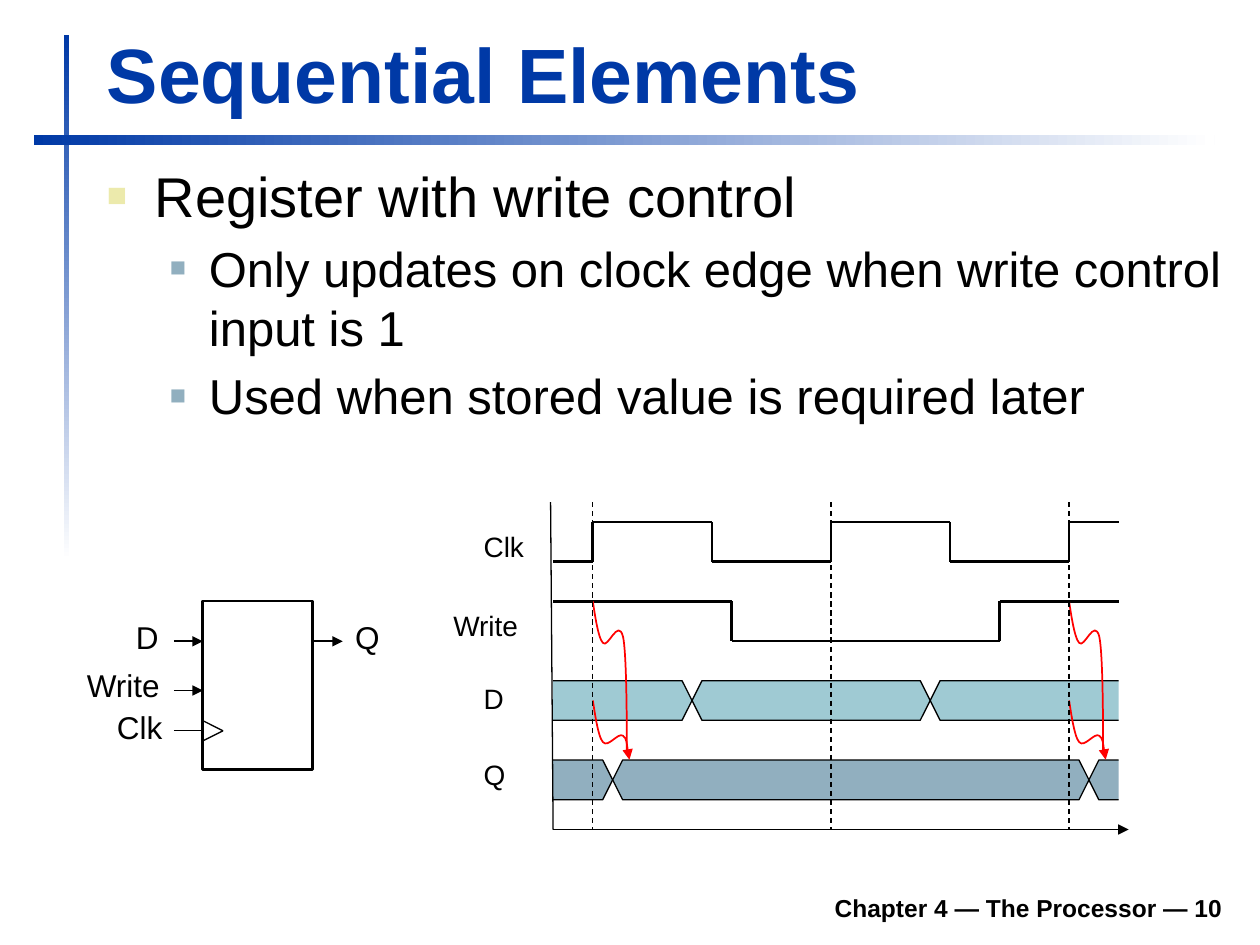
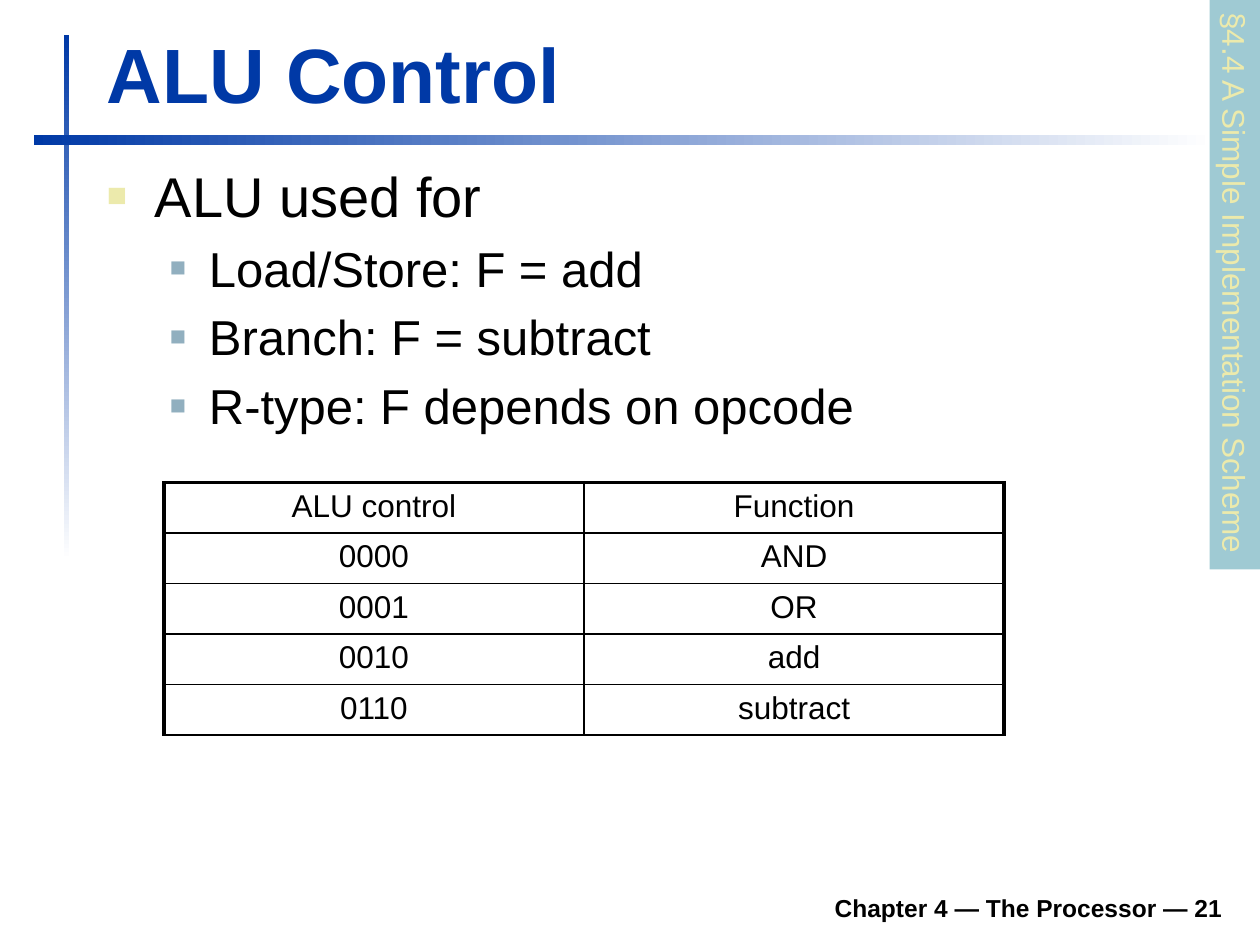
from itertools import pairwise
from lxml import etree
from pptx import Presentation
from pptx import util as u
from pptx.dml.color import RGBColor
from pptx.enum import dml, shapes, text
from pptx.oxml.ns import qn

BLUE = RGBColor(0x00, 0x39, 0xA6)
WHITE = RGBColor(0xFF, 0xFF, 0xFF)
BLACK = RGBColor(0x00, 0x00, 0x00)
RED = RGBColor(0xFF, 0x00, 0x00)
CREAM = RGBColor(0xEC, 0xEA, 0xAC)
STEEL = RGBColor(0x91, 0xAF, 0xBF)
AQUA = RGBColor(0x9F, 0xCA, 0xD3)
FONT = "Arial"


def add_text(s, x, y, w, h, string, size, color=BLACK, bold=False, wrap=False):
    sp = s.shapes.add_textbox(*map(u.Inches, (x, y, w, h)))
    tf = sp.text_frame
    tf.text = string
    tf.word_wrap = wrap
    for p in tf.paragraphs:
        f = p.runs[0].font
        f.name, f.size, f.bold, f.color.rgb = FONT, u.Pt(size), bold, color
    return sp


def style_line(sp, width, color=BLACK, arrow=False):
    sp.line.color.rgb = color
    sp.line.width = u.Pt(width)
    if arrow:
        etree.SubElement(sp.line._get_or_add_ln(), qn("a:tailEnd"), type="triangle")
    etree.SubElement(sp._element.spPr, qn("a:effectLst"))


prs = Presentation()
prs.slide_width, prs.slide_height = u.Inches(10), u.Inches(7.5)

# Shared frame: gradient bars, title, bullets, footer
pages = [
    ("Sequential Elements", 10, 2.52,
     ["Register with write control",
      "Only updates on clock edge when write control input is 1",
      "Used when stored value is required later"]),
    ("ALU Control", 21, 2.6,
     ["ALU used for", "Load/Store: F = add", "Branch: F = subtract",
      "R-type: F depends on opcode"]),
]
for title, number, body_height, bullets in pages:
    s = prs.slides.add_slide(prs.slide_layouts[6])
    for box, angle in [((0.51, 0.28, 0.04, 4.17), 270), ((0.27, 1.07, 9.37, 0.08), 0)]:
        sp = s.shapes.add_shape(shapes.MSO_SHAPE.RECTANGLE, *map(u.Inches, box))
        sp.shadow.inherit = False
        sp.line.fill.background()
        sp.fill.gradient()
        sp.fill.gradient_angle = angle
        for stop, color in zip(sp.fill.gradient_stops, (BLUE, WHITE)):
            stop.color.rgb = color

    footer = add_text(s, 1.85, 6.98, 7.95, 0.39, f"Chapter 4 — The Processor — {number}",
                      14, bold=True, wrap=True)
    footer.text_frame.paragraphs[0].alignment = text.PP_ALIGN.RIGHT
    heading = add_text(s, 0.75, 0.16, 9.03, 0.83, title, 44, BLUE, bold=True, wrap=True)
    for sp in (footer, heading):
        sp.text_frame.vertical_anchor = text.MSO_ANCHOR.BOTTOM

    body = add_text(s, 0.75, 1.23, 9.05, body_height, "\n".join(bullets), 28, wrap=True)
    body.text_frame.paragraphs[0].runs[0].font.size = u.Pt(32)
    for i, p in enumerate(body.text_frame.paragraphs):
        left, hang, color, share = (0.81, 0.31, STEEL, 55) if i else (0.38, 0.38, CREAM, 60)
        pPr = p._p.get_or_add_pPr()
        pPr.set("marL", str(u.Inches(left)))
        pPr.set("indent", str(-u.Inches(hang)))
        before = etree.SubElement(pPr, qn("a:spcBef"))
        etree.SubElement(before, qn("a:spcPct"), val="20000")
        bullet_color = etree.SubElement(pPr, qn("a:buClr"))
        etree.SubElement(bullet_color, qn("a:srgbClr"), val=str(color))
        etree.SubElement(pPr, qn("a:buSzPct"), val=str(share * 1000))
        etree.SubElement(pPr, qn("a:buFont"), typeface=FONT)
        etree.SubElement(pPr, qn("a:buChar"), char="■")

# Sequential Elements: register symbol
s = prs.slides[0]
LEAD, LEFT, RIGHT, CLK_Y = 1.38, 1.61, 2.48, 5.8
register = s.shapes.add_shape(shapes.MSO_SHAPE.RECTANGLE,
                              *map(u.Inches, (LEFT, 4.77, RIGHT - LEFT, 1.34)))
register.fill.background()
style_line(register, 1.5)
wires = [
    (LEAD, 5.09, LEFT, 5.09, 1, True),
    (LEAD, 5.48, LEFT, 5.48, 1, True),
    (RIGHT, 5.09, 2.72, 5.09, 1, True),
    (LEAD, CLK_Y, LEFT, CLK_Y, 0.75, False),
    (LEFT, CLK_Y - 0.08, 1.77, CLK_Y, 0.75, False),
    (LEFT, CLK_Y + 0.08, 1.77, CLK_Y, 0.75, False),
]
for *ends, width, arrow in wires:
    wire = s.shapes.add_connector(shapes.MSO_CONNECTOR.STRAIGHT, *map(u.Inches, ends))
    style_line(wire, width, arrow=arrow)
for label, x, y, w in [("D", 0.98, 4.86, 0.38), ("Write", 0.59, 5.24, 0.78),
                       ("Clk", 0.83, 5.57, 0.56), ("Q", 2.72, 4.86, 0.4)]:
    add_text(s, x, y, w, 0.4, label, 18)

# Timing diagram grid
UNIT = 0.07875
END = 57
X = [u.Inches(4.39 + c * UNIT) for c in range(END + 2)]
Y = [u.Inches(3.985 + r * UNIT) for r in range(34)]
CLOCK_EDGES = (4, 28, 52)

for label, x, y, w in [("Clk", 3.74, 4.15, 0.52), ("Write", 3.5, 4.78, 0.72),
                       ("D", 3.74, 5.36, 0.36), ("Q", 3.74, 5.96, 0.38)]:
    add_text(s, x, y, w, 0.37, label, 16)

# Data bands with their crossings
for top, color, first, second in [(18, AQUA, 14, 38), (26, STEEL, 6, 54)]:
    mid, low = top + 2, top + 4
    segments = [
        ([(0, top), (first - 1, top), (first, mid), (first - 1, low), (0, low)], False),
        ([(first, mid), (first + 1, top), (second - 1, top), (second, mid),
          (second - 1, low), (first + 1, low)], True),
        ([(END, top), (second + 1, top), (second, mid), (second + 1, low), (END, low)], False),
    ]
    for cells, closed in segments:
        points = [(X[c], Y[r]) for c, r in cells]
        fb = s.shapes.build_freeform(*points[0])
        fb.add_line_segments(points[1:], close=closed)
        sp = fb.convert_to_shape()
        sp.fill.solid()
        sp.fill.fore_color.rgb = color
        style_line(sp, 0.75)

# Clock and write waves, drawn edge by edge
clock = [(0, 6)]
for edge in CLOCK_EDGES:
    clock += [(edge, 6), (edge, 2), (min(edge + 12, END), 2)]
    if edge + 12 < END:
        clock.append((edge + 12, 6))
write = [(0, 10), (18, 10), (18, 14), (45, 14), (45, 10), (END, 10)]
for wave in (clock, write):
    for (c1, r1), (c2, r2) in pairwise(wave):
        cn = s.shapes.add_connector(shapes.MSO_CONNECTOR.STRAIGHT, X[c1], Y[r1], X[c2], Y[r2])
        style_line(cn, 1.5)

# Red cause-and-effect curves: Bezier points in inches from the start
bend = [(0.01, 0.06), (0.04, 0.29), (0.08, 0.33), (0.12, 0.38)]
from_data = bend + [(0.2, 0.25), (0.24, 0.28), (0.27, 0.3), (0.28, 0.43), (0.29, 0.47)]
from_write = bend + [(0.2, 0.13), (0.24, 0.28), (0.27, 0.42), (0.27, 1.01), (0.27, 1.2)]
for edge in (CLOCK_EDGES[0], CLOCK_EDGES[2]):
    for row, curve, arrow in [(20, from_data, True), (10, from_write, False)]:
        fb = s.shapes.build_freeform(X[edge], Y[row])
        fb.add_line_segments([(X[edge] + u.Inches(dx), Y[row] + u.Inches(dy))
                              for dx, dy in curve], close=False)
        sp = fb.convert_to_shape()
        steps = list(sp._element.iter(qn("a:lnTo")))
        for i in range(0, len(steps), 3):
            bezier = etree.Element(qn("a:cubicBezTo"))
            steps[i].addprevious(bezier)
            for step in steps[i:i + 3]:
                bezier.append(step[0])
                step.getparent().remove(step)
        sp.fill.background()
        style_line(sp, 1, RED, arrow)

# Axes and dashed clock edges
axes = [(X[0], Y[33], X[END + 1], Y[33]), (X[0], Y[33], X[0] - u.Inches(0.02), Y[0])]
axes += [(X[edge], Y[0], X[edge], Y[33]) for edge in CLOCK_EDGES]
for i, ends in enumerate(axes):
    cn = s.shapes.add_connector(shapes.MSO_CONNECTOR.STRAIGHT, *ends)
    if i > 1:
        cn.line.dash_style = dml.MSO_LINE.DASH
    style_line(cn, 0.75, arrow=i == 0)

# ALU Control: section tab
s = prs.slides[1]
tab = add_text(s, 7.54, 2.06, 4.52, 0.4, "§4.4 A Simple Implementation Scheme", 18, CREAM)
tab.rotation = 90
tab.fill.solid()
tab.fill.fore_color.rgb = AQUA

# ALU Control: function table
rows = [("ALU control", "Function"), ("0000", "AND"), ("0001", "OR"),
        ("0010", "add"), ("0110", "subtract")]
table = s.shapes.add_table(len(rows), 2, *map(u.Inches, (1.3, 3.83, 6.67, 2))).table
table.first_row = table.horz_banding = False
for i, row in enumerate(rows):
    table.rows[i].height = u.Inches(0.4)
    for j, value in enumerate(row):
        cell = table.cell(i, j)
        cell.text = value
        cell.fill.background()
        p = cell.text_frame.paragraphs[0]
        p.alignment = text.PP_ALIGN.CENTER
        f = p.runs[0].font
        f.name, f.size, f.color.rgb = FONT, u.Pt(18), BLACK
        widths = {
            "lnL": 1 if j else 2.25,
            "lnR": 2.25 if j else 1,
            "lnT": {0: 2.25, 1: 1.5}.get(i, 1),
            "lnB": 1 if i else 1.5,
        }
        tcPr = cell._tc.get_or_add_tcPr()
        for k, (side, width) in enumerate(widths.items()):
            ln = etree.Element(qn(f"a:{side}"), w=str(u.Pt(width)))
            fill = etree.SubElement(ln, qn("a:solidFill"))
            etree.SubElement(fill, qn("a:srgbClr"), val=str(BLACK))
            tcPr.insert(k, ln)

prs.save("out.pptx")
